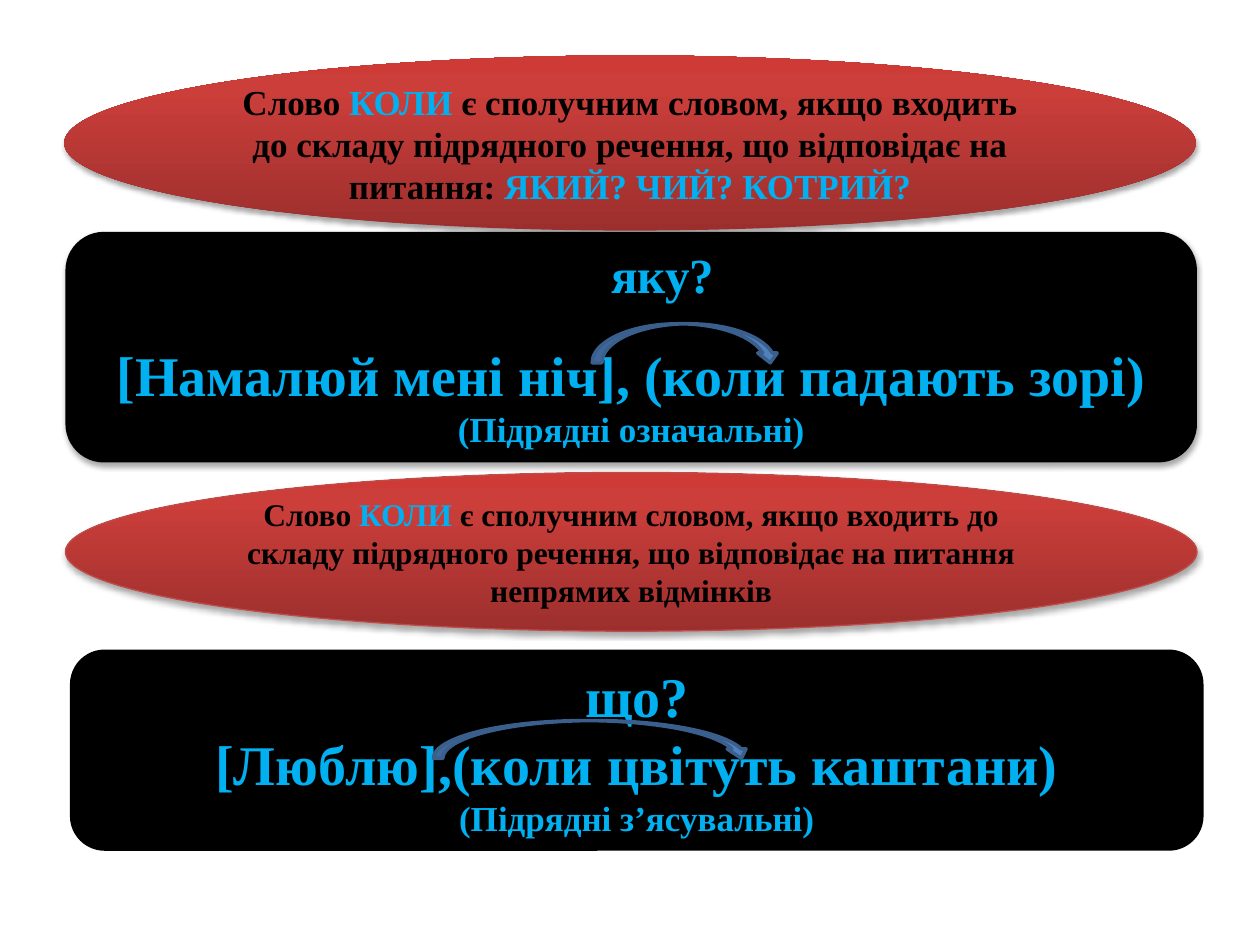
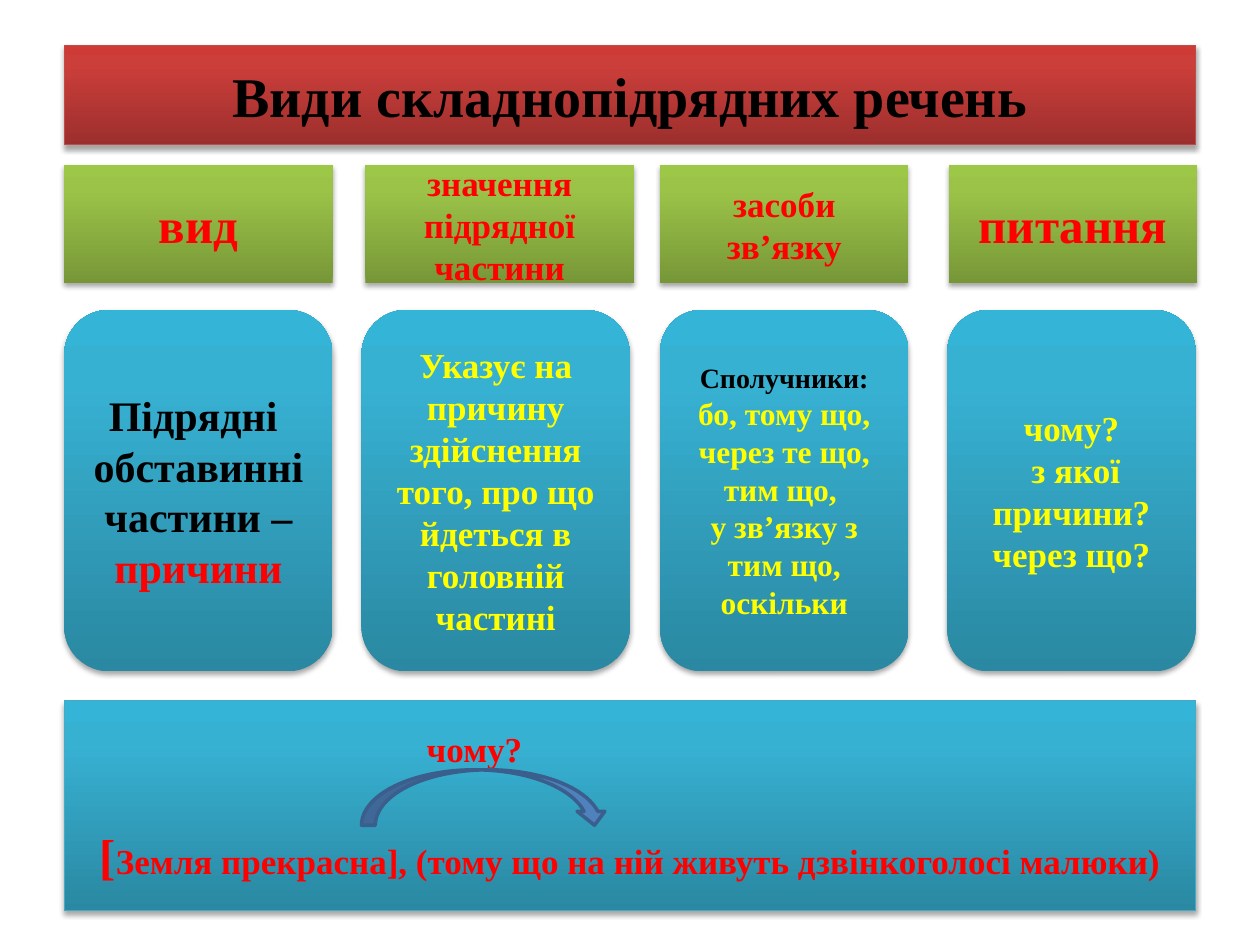
from copy import deepcopy

from pptx import Presentation
from pptx.dml.color import RGBColor
from pptx.enum.shapes import MSO_SHAPE
from pptx.enum.text import MSO_ANCHOR, MSO_AUTO_SIZE, PP_ALIGN
from pptx.oxml import parse_xml
from pptx.oxml.ns import nsdecls, qn
from pptx.util import Pt

OVAL = MSO_SHAPE.OVAL
RECT = MSO_SHAPE.RECTANGLE
ROUNDED = MSO_SHAPE.ROUNDED_RECTANGLE
PROCESS = MSO_SHAPE.FLOWCHART_ALTERNATE_PROCESS
ARC_ARROW = MSO_SHAPE.CURVED_DOWN_ARROW
CENTER, LEFT_ALIGN = PP_ALIGN.CENTER, PP_ALIGN.LEFT
MIDDLE = MSO_ANCHOR.MIDDLE
NO_AUTOFIT = MSO_AUTO_SIZE.NONE

FONT = "Times New Roman"
BLACK, RED, YELLOW, SKY = "000000", "FF0000", "FFFF00", "00B0F0"
RED_GRADIENT = ("9C2F2D", "CB3E3A", "CE3B37")
GREEN_GRADIENT = ("779737", "9BC348", "9DC746")
BLUE_GRADIENT = ("2A88A2", "37B1D2", "34B4D6")
STOPS = (0, 0.8, 1)
RED_LINE, BLUE_LINE = "BF4C48", "46AAC5"
ARROW_FILL, ARROW_LINE = "4F81BD", "3A5F8C"

LEFT, WIDTH = 36.7, 646.6


def rgb(value):
    return RGBColor.from_string(value)


def para(*runs, align=CENTER, before=0, indent=0):
    """Describe a paragraph; each run is (text, size, colour)."""
    return runs, align, before, indent


def set_fill(s, fill):
    """Fill with one colour, or with three running from bottom to top."""
    if isinstance(fill, str):
        s.fill.solid()
        s.fill.fore_color.rgb = rgb(fill)
        return
    s.fill.gradient()
    s.fill.gradient_angle = 90
    stops = s._element.spPr.find(".//" + qn("a:gsLst"))
    stops.append(deepcopy(stops[0]))
    for stop, position, colour in zip(s.fill.gradient_stops, STOPS, fill):
        stop.position = position
        stop.color.rgb = rgb(colour)


def style_shape(s, fill, line=None, line_width=0.75, shadow=True):
    set_fill(s, fill)
    if line:
        s.line.color.rgb = rgb(line)
        s.line.width = Pt(line_width)
    else:
        s.line.fill.background()
    s.shadow.inherit = False
    if shadow:
        s._element.spPr.find(qn("a:effectLst")).append(parse_xml(
            f'<a:outerShdw {nsdecls("a")} blurRad="{Pt(3.1)}" dist="{Pt(1.8)}" '
            'dir="5400000" rotWithShape="0"><a:srgbClr val="000000">'
            '<a:alpha val="35000"/></a:srgbClr></a:outerShdw>'))


def write(s, paragraphs):
    tf = s.text_frame
    tf.word_wrap = True
    tf.vertical_anchor = MIDDLE
    for i, (runs, align, before, indent) in enumerate(paragraphs):
        p = tf.add_paragraph() if i else tf.paragraphs[0]
        p.alignment = align
        if before:
            p.space_before = Pt(before)
        if indent:
            p._p.get_or_add_pPr().set("marL", str(Pt(indent)))
        p.font.name = FONT
        p.font.bold = True
        sizes = {size for _, size, _ in runs}
        colours = {colour for _, _, colour in runs}
        if len(sizes) == 1:
            p.font.size = Pt(runs[0][1])
        if len(colours) == 1:
            p.font.color.rgb = rgb(runs[0][2])
        for text, size, colour in runs:
            r = p.add_run()
            r.text = text
            if len(sizes) > 1:
                r.font.size = Pt(size)
            if len(colours) > 1:
                r.font.color.rgb = rgb(colour)


def add_box(slide, kind, box, fill, paragraphs, **style):
    s = slide.shapes.add_shape(kind, *map(Pt, box))
    style_shape(s, fill, **style)
    write(s, paragraphs)


def add_arc_arrow(slide, *box):
    s = slide.shapes.add_shape(ARC_ARROW, *map(Pt, box))
    style_shape(s, ARROW_FILL, ARROW_LINE, 2, shadow=False)


def add_title(slide, text):
    """Turn the title placeholder into a rounded red band."""
    s = slide.shapes.title
    s.left, s.top, s.width, s.height = map(Pt, (LEFT, 25.9, WIDTH, 56.9))
    s._element.spPr.append(parse_xml(
        f'<a:prstGeom {nsdecls("a")} prst="roundRect"><a:avLst/></a:prstGeom>'))
    style_shape(s, RED_GRADIENT, RED_LINE)
    write(s, [para((text, 32, BLACK))])
    s.text_frame.auto_size = NO_AUTOFIT


def add_rule(slide, box, size, ending, highlight="", **style):
    runs = [("Слово ", size, BLACK), ("КОЛИ", size, SKY),
            (" є сполучним словом, якщо входить до складу підрядного речення, "
             "що відповідає на питання" + ending, size, BLACK)]
    if highlight:
        runs.append((highlight, size, SKY))
    add_box(slide, OVAL, box, RED_GRADIENT, [para(*runs)], **style)


def build_conjunction_slide(prs):
    slide = prs.slides.add_slide(prs.slide_layouts[6])
    add_rule(slide, (LEFT, 31.7, WIDTH, 100.1), 20, ": ", "ЯКИЙ? ЧИЙ? КОТРИЙ?")
    add_box(slide, ROUNDED, (37.4, 132.5, WIDTH, 131.8), BLACK, [
        para(("яку?", 28, SKY), indent=36),
        para(("[Намалюй мені ніч], (коли падають зорі) ", 32, SKY),
             ("(Підрядні означальні)", 20, SKY), before=21)])
    add_arc_arrow(slide, 338.4, 185, 107.3, 22.3)
    add_rule(slide, (37.4, 270, WIDTH, 90.7), 18, " непрямих відмінків",
             line=RED_LINE)
    add_box(slide, PROCESS, (41, 372.2, 645.8, 113), BLACK, [
        para(("що?", 32, SKY)),
        para(("[Люблю],(коли цвітуть каштани)", 32, SKY)),
        para(("(Підрядні з’ясувальні)", 20, SKY))],
        line=BLACK, line_width=2, shadow=False)
    add_arc_arrow(slide, 247.7, 411.8, 181.4, 21.6)


def build_clause_types_slide(prs):
    slide = prs.slides.add_slide(prs.slide_layouts[5])
    add_title(slide, "Види складнопідрядних речень")

    # header left, card left, width, header text, header size, card paragraphs
    columns = [
        (LEFT, LEFT, 153.4, "вид", 28, [
            para(("Підрядні ", 24, BLACK)),
            para(("обставинні", 24, BLACK)),
            para(("частини – ", 24, BLACK), ("причини", 24, RED))]),
        (208.8, 206.6, 153.4, "значення підрядної частини", 20, [
            para(("Указує на причину здійснення того, про що йдеться "
                  "в головній частині", 20, YELLOW))]),
        (377.3, 377.3, 141.8, "засоби зв’язку", 20, [
            para(("Сполучники:", 16, BLACK)),
            para(("бо, тому що, через те що, тим що, ", 18, YELLOW)),
            para(("у зв’язку з тим що, оскільки", 18, YELLOW))]),
        (542.2, 541.4, 141.8, "питання", 28, [
            para(("чому?", 20, YELLOW)),
            para((" з якої причини? через що?", 20, YELLOW))]),
    ]
    for header_x, card_x, width, header, size, card in columns:
        add_box(slide, RECT, (header_x, 94.3, width, 67.7), GREEN_GRADIENT,
                [para((header, size, RED))])
        add_box(slide, ROUNDED, (card_x, 177.1, width, 206.6), BLUE_GRADIENT, card)

    add_box(slide, RECT, (LEFT, 400.3, WIDTH, 120.2), BLUE_GRADIENT, [
        para(("чому?", 20, RED), align=LEFT_ALIGN, indent=200),
        para(("[", 28, RED),
             ("Земля прекрасна], (тому що на ній живуть дзвінкоголосі малюки)",
              20, RED), before=32)],
        line=BLUE_LINE)
    add_arc_arrow(slide, 206.6, 439.9, 141.1, 31.7)


def main():
    prs = Presentation()
    prs.slide_width, prs.slide_height = Pt(720), Pt(540)
    build_conjunction_slide(prs)
    build_clause_types_slide(prs)
    prs.save("out.pptx")


if __name__ == "__main__":
    main()
